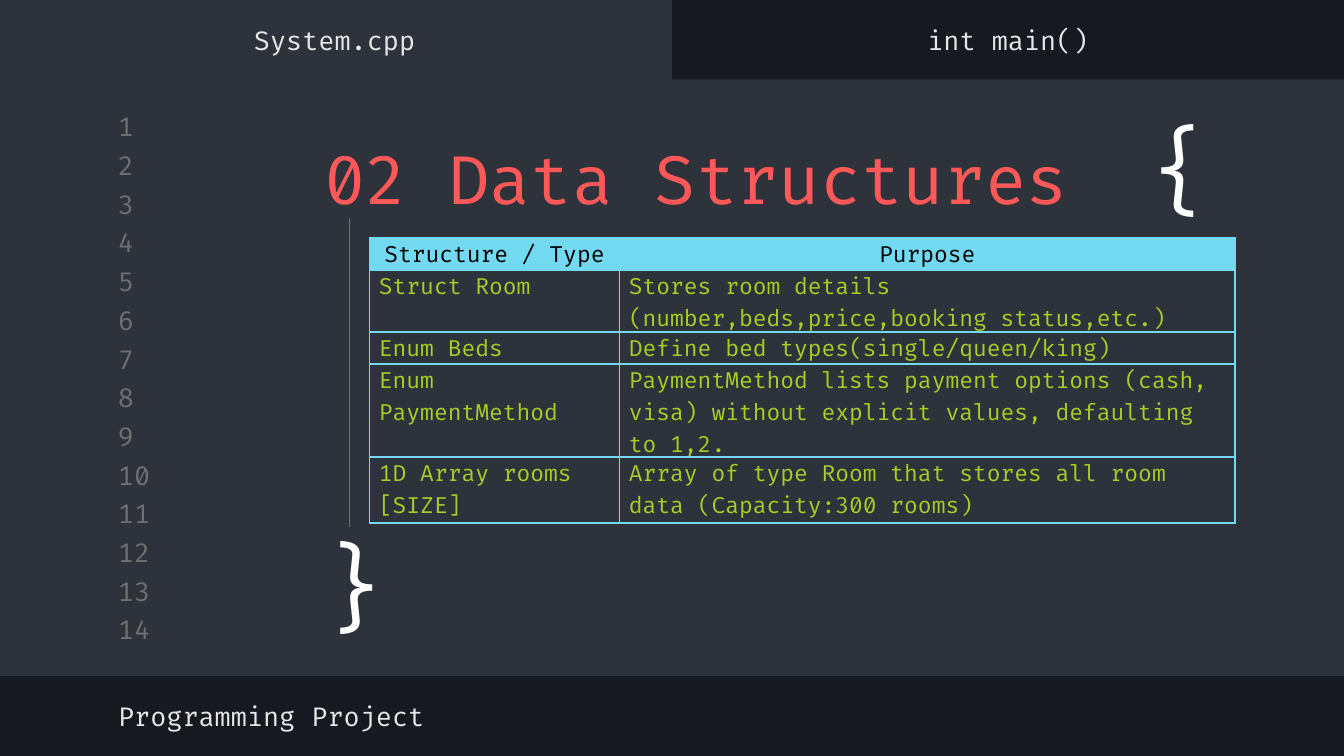
from lxml import etree
from pptx import Presentation
from pptx import util as u
from pptx.dml.color import RGBColor
from pptx.enum import shapes, text
from pptx.oxml.ns import qn

COLORS = {
    "dark": "16191F", "panel": "2E323B", "gray": "707070", "light": "E7E7E7",
    "white": "FFFFFF", "black": "000000", "red": "FF5858", "cyan": "72D9F0",
    "green": "A5CF27",
}
FONT = "Fira Code"
ALIGN = text.PP_ALIGN
STRUCTURES = [
    ("Structure / Type", "Purpose"),
    ("Struct Room", "Stores room details (number,beds,price,booking status,etc.)"),
    ("Enum Beds", "Define bed types(single/queen/king)"),
    ("Enum PaymentMethod",
     "PaymentMethod lists payment options (cash, visa) without explicit values, "
     "defaulting to 1,2."),
    ("1D Array rooms [SIZE]",
     "Array of type Room that stores all room data (Capacity:300 rooms)"),
]


def rgb(name):
    return RGBColor.from_string(COLORS[name])


def write(paragraph, words, size=14, color="light", align=ALIGN.LEFT, tracking=0):
    """Append a run to the paragraph; tracking is extra letter spacing in points."""
    paragraph.alignment = align
    run = paragraph.add_run()
    run.text = words
    run.font.name = FONT
    run.font.size = u.Pt(size)
    run.font.color.rgb = rgb(color)
    if tracking:
        run.font._element.set("spc", str(round(tracking * 100)))


def outline_cell(cell, color, width=1):
    """Draw all four borders, placed ahead of the fill as the schema requires."""
    properties = cell._tc.get_or_add_tcPr()
    for index, side in enumerate(("a:lnL", "a:lnR", "a:lnT", "a:lnB")):
        border = etree.Element(qn(side), w=str(u.Pt(width)))
        fill = etree.SubElement(border, qn("a:solidFill"))
        etree.SubElement(fill, qn("a:srgbClr"), val=COLORS[color])
        properties.insert(index, border)


class CodeSlide:
    def __init__(self, deck):
        self.slide = deck.slides.add_slide(deck.slide_layouts[6])
        self.slide.background.fill.solid()
        self.slide.background.fill.fore_color.rgb = rgb("dark")

    def panel(self, *box):
        panel = self.slide.shapes.add_shape(
            shapes.MSO_SHAPE.RECTANGLE, *map(u.Inches, box))
        panel.shadow.inherit = False
        panel.fill.solid()
        panel.fill.fore_color.rgb = rgb("panel")
        panel.line.fill.background()

    def label(self, box, words="", **style):
        label = self.slide.shapes.add_textbox(*map(u.Inches, box))
        frame = label.text_frame
        frame.word_wrap = True
        frame.vertical_anchor = text.MSO_ANCHOR.MIDDLE
        frame.margin_left = frame.margin_right = u.Inches(0.1)
        frame.margin_top = frame.margin_bottom = u.Inches(0.1)
        if words:
            write(frame.paragraphs[0], words, **style)
        return label

    def guide(self, x, top, bottom, target):
        """Draw a vertical line that ends at the top of the target."""
        guide = self.slide.shapes.add_connector(
            shapes.MSO_CONNECTOR.STRAIGHT, *map(u.Inches, (x, top, x, bottom)))
        guide.end_connect(target, 0)
        guide.line.color.rgb = rgb("gray")
        guide.line.width = u.Pt(0.75)
        etree.SubElement(guide._element.spPr, qn("a:effectLst"))

    def table(self, box, rows, widths, heights):
        table = self.slide.shapes.add_table(
            len(rows), len(widths), *map(u.Inches, box)).table
        table.horz_banding = table.first_row = False
        for column, width in zip(table.columns, widths):
            column.width = u.Inches(width)
        for row, height in zip(table.rows, heights):
            row.height = u.Inches(height)
        for r, row in enumerate(rows):
            for c, words in enumerate(row):
                self.fill_cell(table.cell(r, c), words, header=r == 0, purpose=c == 1)

    def fill_cell(self, cell, words, header, purpose):
        cell.margin_left = cell.margin_right = u.Inches(0.07)
        cell.margin_top = cell.margin_bottom = 0
        if header:
            cell.fill.solid()
            cell.fill.fore_color.rgb = rgb("cyan")
        else:
            cell.fill.background()
        outline_cell(cell, "cyan")
        paragraph = cell.text_frame.paragraphs[0]
        paragraph.line_spacing = 1.15
        if purpose:
            paragraph.space_after = u.Pt(8)
        write(paragraph, words, size=12, color="black" if header else "green",
              align=ALIGN.CENTER if header else ALIGN.LEFT)


def main():
    deck = Presentation()
    deck.slide_width = u.Inches(10)
    deck.slide_height = deck.slide_width * 9 // 16
    page = CodeSlide(deck)

    page.panel(0, 0.59, 10, 4.44)
    page.panel(0, 0, 5, 0.65)
    for number in range(14):
        page.label((0.78, 0.82 + number * 0.288, 0.47, 0.24), str(number + 1),
                   color="gray")

    title = page.label((1.88, 0.64, 7.64, 1.21)).text_frame.paragraphs[0]
    write(title, "02 Data Structures", size=36, color="red", align=ALIGN.CENTER)
    write(title, " ", size=36, color="red", align=ALIGN.CENTER, tracking=21.6)
    write(title, "{", size=50, color="white", align=ALIGN.CENTER)
    closing_brace = page.label((2.33, 3.92, 0.54, 0.86), "}", size=50, color="white")
    page.guide(2.6, 1.62, 3.92, closing_brace)

    page.label((0.78, 5.13, 5.32, 0.39), "Programming Project")
    for left, tab in ((-0.01, "System.cpp"), (5, "int main()")):
        page.label((left, 0.1, 5, 0.39), tab, align=ALIGN.CENTER)

    page.table((2.75, 1.77, 6.44, 2.09), STRUCTURES, widths=(1.86, 4.58),
               heights=(0.24, 0.25, 0.24, 0.49, 0.49))
    deck.save("out.pptx")


if __name__ == "__main__":
    main()
